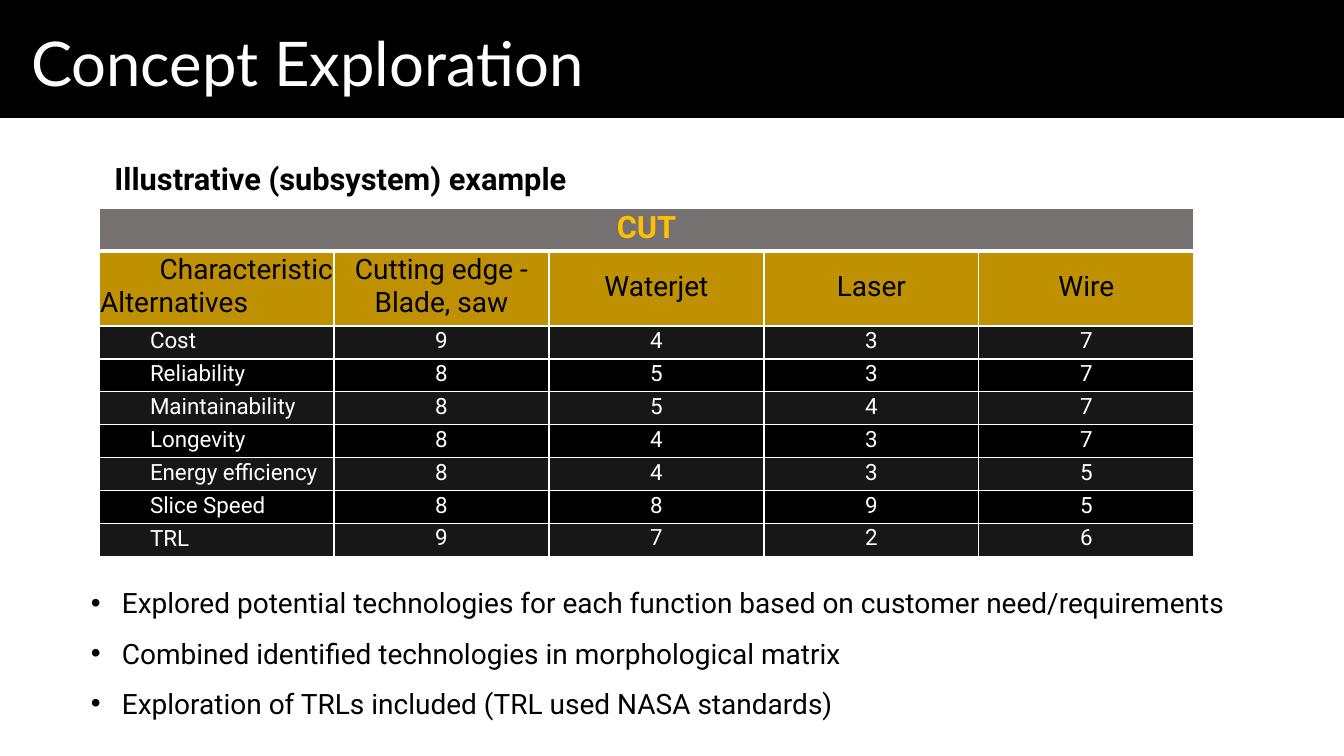
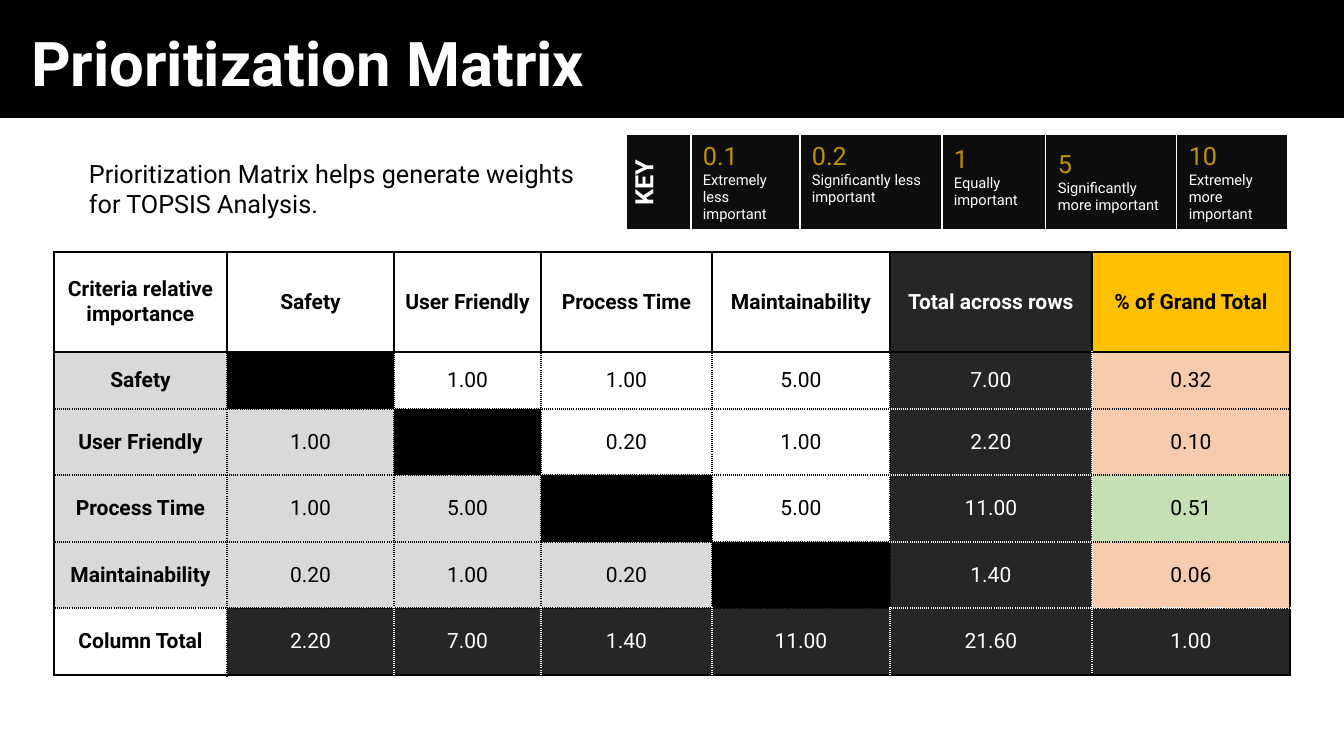
"""Build two slides on concept exploration and criteria weighting."""
from dataclasses import dataclass

from lxml.etree import SubElement
from pptx import Presentation
from pptx.dml.color import RGBColor
from pptx.enum.shapes import MSO_SHAPE
from pptx.enum.text import MSO_ANCHOR, MSO_AUTO_SIZE, PP_ALIGN
from pptx.oxml.ns import qn
from pptx.util import Pt


@dataclass(frozen=True)
class Theme:
    black: str = "000000"
    white: str = "FFFFFF"
    gold: str = "FFC000"
    ochre: str = "BF9000"
    gray: str = "767171"
    stripe: str = "181717"
    key: str = "0D0D0D"
    dark: str = "262626"
    pale: str = "D9D9D9"
    peach: str = "F8CBAD"
    green: str = "C5E0B4"
    font: str = "Roboto"
    title: float = 44
    heading: float = 22
    body: float = 20
    note: float = 18
    score: float = 16
    weight: float = 15
    small: float = 10.5


T = Theme()
PX = 914400 / 100.8
LEFT, CENTER, RIGHT = PP_ALIGN.LEFT, PP_ALIGN.CENTER, PP_ALIGN.RIGHT
MIDDLE = MSO_ANCHOR.MIDDLE

SUBTITLE = "Illustrative (subsystem) example"
BULLETS = [
    "Explored potential technologies for each function based on customer need/requirements",
    "Combined identified technologies in morphological matrix",
    "Exploration of TRLs included (TRL used NASA standards)",
]
FUNCTION = "CUT"
CORNER = ("Characteristic", "Alternatives")
CONCEPTS = ["Cutting edge - Blade, saw", "Waterjet", "Laser", "Wire"]
SCORES = [
    ("Cost", 9, 4, 3, 7),
    ("Reliability", 8, 5, 3, 7),
    ("Maintainability", 8, 5, 4, 7),
    ("Longevity", 8, 4, 3, 7),
    ("Energy efficiency", 8, 4, 3, 5),
    ("Slice Speed", 8, 8, 9, 5),
    ("TRL", 9, 7, 2, 6),
]

INTRO = "Prioritization Matrix helps generate weights for TOPSIS Analysis."
KEY_LABEL = "KEY"
KEY = [
    ("0.1", "Extremely less important", 4),
    ("0.2", "Significantly less important", 20),
    ("1", "Equally important", 14),
    ("5", "Significantly more important", 4),
    ("10", "Extremely more important", 4),
]
KEY_COLS = [65, 109, 142, 104, 131, 111]
MATRIX = [
    ("Criteria relative importance", "Safety", "User Friendly", "Process Time",
     "Maintainability", "Total across rows", "% of Grand Total"),
    ("Safety", None, 1, 1, 5, 7, 0.32),
    ("User Friendly", 1, None, 0.2, 1, 2.2, 0.1),
    ("Process Time", 1, 5, None, 5, 11, 0.51),
    ("Maintainability", 0.2, 1, 0.2, None, 1.4, 0.06),
    ("Column Total", 2.2, 7, 1.4, 11, 21.6, 1),
]
MATRIX_COLS = [173, 167, 147, 171, 178, 202, 198]
MATRIX_ROWS = [100, 57] + [66, 67] * 2


def px(n):
    return round(n * PX)


def rgb(color):
    return RGBColor.from_string(color)


def add_text(p, text, size, color, bold=False, align=LEFT, font=T.font):
    p.alignment = align
    r = p.add_run()
    r.text = text
    f = r.font
    f.name, f.size, f.bold = font, Pt(size), bold
    f.color.rgb = rgb(color)


def add_box(s, x, y, w, h, anchor=MSO_ANCHOR.TOP):
    tf = s.shapes.add_textbox(px(x), px(y), px(w), px(h)).text_frame
    tf.word_wrap, tf.vertical_anchor = True, anchor
    return tf


def add_bullet(p):
    pPr = p._p.get_or_add_pPr()
    pPr.set("marL", str(px(31)))
    pPr.set("indent", str(-px(31)))
    SubElement(pPr, qn("a:buFont")).set("typeface", "Arial")
    SubElement(pPr, qn("a:buChar")).set("char", "•")


def add_grid(s, x, y, cols, rows):
    shape = s.shapes.add_table(len(rows), len(cols), px(x), px(y), px(sum(cols)), px(sum(rows)))
    table = shape.table
    table.first_row = table.horz_banding = False
    for col, w in zip(table.columns, cols):
        col.width = px(w)
    for row, h in zip(table.rows, rows):
        row.height = px(h)
    return table


def style_cell(cell, fill, margins, borders, anchor=MIDDLE):
    tcPr = cell._tc.get_or_add_tcPr()
    for side, (color, width, dash) in zip("LRTB", borders):
        ln = SubElement(tcPr, qn(f"a:ln{side}"), w=str(Pt(width)))
        SubElement(SubElement(ln, qn("a:solidFill")), qn("a:srgbClr")).set("val", color)
        SubElement(ln, qn("a:prstDash")).set("val", dash)
    cell.fill.solid()
    cell.fill.fore_color.rgb = rgb(fill)
    cell.vertical_anchor = anchor
    cell.margin_left, cell.margin_top, cell.margin_right, cell.margin_bottom = map(px, margins)


def add_band(s, layout):
    band = s.shapes.add_shape(MSO_SHAPE.RECTANGLE, 0, 0, px(1344), px(118))
    band.shadow.inherit = False
    band.fill.solid()
    band.fill.fore_color.rgb = rgb(T.black)
    band.line.fill.background()
    layout.shapes.element.insert(2, band.element)


def add_slide(prs, layout, title, font, bold):
    s = prs.slides.add_slide(layout)
    sp = s.shapes.title
    sp.left, sp.top, sp.width, sp.height = map(px, (21, 15, 1159, 103))
    tf = sp.text_frame
    tf.auto_size, tf.vertical_anchor = MSO_AUTO_SIZE.NONE, MIDDLE
    p = tf.paragraphs[0]
    p.line_spacing = 0.9
    add_text(p, title, T.title, T.white, bold, font=font)
    return s


def add_scores(s):
    rows = [43, 75] + [33] * len(SCORES)
    table = add_grid(s, 99, 208, [235] + [215] * len(CONCEPTS), rows)
    table.cell(0, 0).merge(table.cell(0, len(CONCEPTS)))
    thin, thick = (T.white, 1, "solid"), (T.white, 3, "solid")
    for i in range(len(rows)):
        fill = (T.gray, T.ochre)[i] if i < 2 else (T.stripe, T.black)[i % 2]
        borders = [thin, thin, thick if i == 1 else thin, thin if i else thick]
        for j in range(len(CONCEPTS) + 1):
            named = i > 1 and j == 0
            anchor = MSO_ANCHOR.BOTTOM if named or i == 0 else MIDDLE
            cell = table.cell(i, j)
            style_cell(cell, fill, (51 if named else 1, 1, 1, 5), borders, anchor)
            p = cell.text_frame.paragraphs[0]
            if i > 1:
                add_text(p, str(SCORES[i - 2][j]), T.score, T.white, align=LEFT if named else CENTER)
            elif i == 1 and j:
                add_text(p, CONCEPTS[j - 1], T.body, T.black, align=CENTER)
    add_text(table.cell(0, 0).text_frame.paragraphs[0], FUNCTION, T.heading, T.gold, True, CENTER)
    tf = table.cell(1, 0).text_frame
    add_text(tf.paragraphs[0], CORNER[0], T.body, T.black, align=RIGHT)
    add_text(tf.add_paragraph(), CORNER[1], T.body, T.black)


def add_key(s):
    table = add_grid(s, 626, 134, KEY_COLS, [97])
    thin = (T.white, 1, "solid")
    borders = [thin, thin, thin, (T.white, 3, "solid")]
    label = table.cell(0, 0)
    style_cell(label, T.key, (12, 4, 12, 4), borders)
    label._tc.get_or_add_tcPr().set("vert", "vert270")
    add_text(label.text_frame.paragraphs[0], KEY_LABEL, T.note, T.white, True, CENTER)
    for j, (value, meaning, bottom) in enumerate(KEY, 1):
        cell = table.cell(0, j)
        style_cell(cell, T.key, (12, 4, 12, bottom), borders)
        add_text(cell.text_frame.paragraphs[0], value, T.note, T.ochre)
        add_text(cell.text_frame.add_paragraph(), meaning, T.small, T.white)


def matrix_fill(i, j, best):
    last, share = len(MATRIX) - 1, len(MATRIX[0]) - 1
    if j == share and i < last:
        return T.gold if i == 0 else T.green if i == best else T.peach
    if j == share - 1 or (i == last and j):
        return T.dark
    if i in (0, last):
        return T.white
    return T.black if i == j else T.pale if i > j else T.white


def matrix_line(white, solid):
    if solid:
        return T.black, 2.25, "solid"
    return T.white if white else T.black, 2.25, "sysDot"


def add_matrix(s):
    table = add_grid(s, 54, 252, MATRIX_COLS, MATRIX_ROWS)
    n, m = len(MATRIX), len(MATRIX[0])
    best = max(range(1, n - 1), key=lambda i: MATRIX[i][-1])

    def upright(i, j):
        return matrix_line(j == m - 1 or (i == n - 1 and j > 1), i == 0 or j in (0, m))

    def level(i, j):
        return matrix_line(j == m - 2 or (j == m - 1 and i == n - 1), i in (0, 1, n))

    for i, row in enumerate(MATRIX):
        for j, value in enumerate(row):
            cell = table.cell(i, j)
            fill = matrix_fill(i, j, best)
            borders = [upright(i, j), upright(i, j + 1), level(i, j), level(i + 1, j)]
            style_cell(cell, fill, (0, 0, 0, 0), borders)
            if value is not None:
                text = value if isinstance(value, str) else f"{value:.2f}"
                color = T.white if fill == T.dark else T.black
                add_text(cell.text_frame.paragraphs[0], text, T.weight, color, 0 in (i, j), CENTER)


def build_concepts(s):
    add_scores(s)
    p = add_box(s, 25, 139, 631, 59, MIDDLE).paragraphs[0]
    p.line_spacing = 1.5
    add_text(p, SUBTITLE, T.heading, T.black, True, CENTER)
    tf = add_box(s, 81, 564, 1218, 157)
    for i, text in enumerate(BULLETS):
        p = tf.add_paragraph() if i else tf.paragraphs[0]
        add_bullet(p)
        p.line_spacing = 1.5
        add_text(p, text, T.body, T.black)


def build_priorities(s):
    add_matrix(s)
    add_key(s)
    add_text(add_box(s, 79, 153, 538, 72).paragraphs[0], INTRO, T.note, T.black)


def main():
    prs = Presentation()
    prs.slide_width, prs.slide_height = px(1344), px(756)
    layout = prs.slide_layouts[5]
    s = add_slide(prs, layout, "Concept Exploration", "Lato", False)
    add_band(s, layout)
    build_concepts(s)
    build_priorities(add_slide(prs, layout, "Prioritization Matrix", T.font, True))
    prs.save("out.pptx")


if __name__ == "__main__":
    main()
